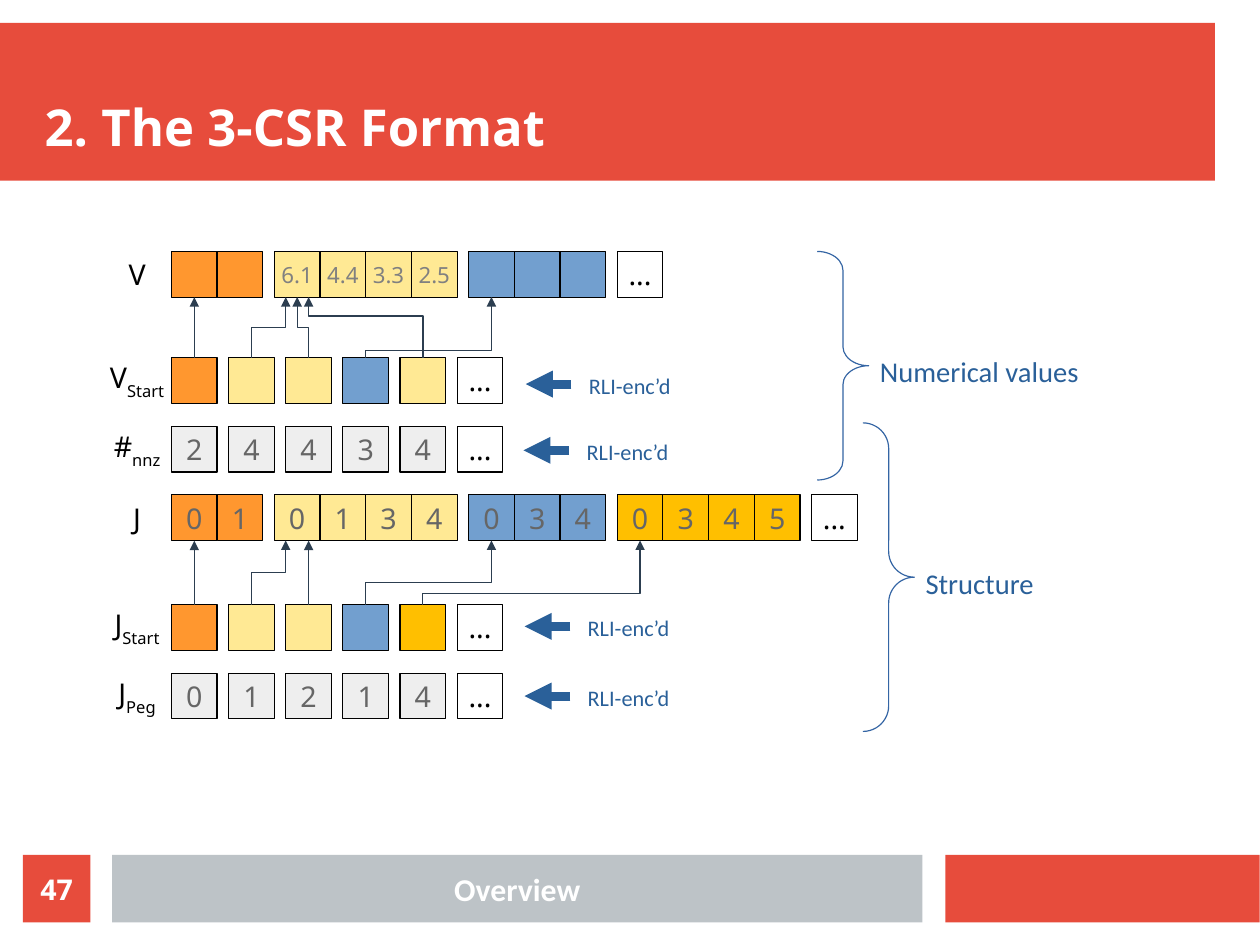
from lxml.etree import SubElement
from pptx import Presentation
from pptx.dml.color import RGBColor
from pptx.enum.shapes import MSO_CONNECTOR, MSO_SHAPE
from pptx.enum.text import MSO_ANCHOR, MSO_AUTO_SIZE, PP_ALIGN
from pptx.oxml.ns import qn
from pptx.util import Cm, Pt

PX = 9144
CELL, GAP, LEFT = 40, 10, 150

RED = RGBColor(0xE7, 0x4C, 0x3C)
SILVER = RGBColor(0xBD, 0xC3, 0xC7)
WHITE = RGBColor(0xFF, 0xFF, 0xFF)
BLACK = RGBColor(0, 0, 0)
ORANGE = RGBColor(0xFF, 0x97, 0x2F)
CREAM = RGBColor(0xFF, 0xE9, 0x94)
BLUE = RGBColor(0x72, 0x9F, 0xCF)
GOLD = RGBColor(0xFF, 0xBF, 0x00)
PALE = RGBColor(0xEE, 0xEE, 0xEE)
GRAY = RGBColor(0x80, 0x80, 0x80)
DARK = RGBColor(0x66, 0x66, 0x66)
SLATE = RGBColor(0x2C, 0x3E, 0x50)
NAVY = RGBColor(0x2A, 0x60, 0x99)
BRACE = RGBColor(0x34, 0x65, 0xA4)

TITLE = "2. The 3-CSR Format"
BARS = [(0, 20, 1063, 138, RED), (827, 748, 275, 59, RED),
        (98, 748, 709, 59, SILVER)]
ROWS = [
    ("V", "", 220, 14, GRAY,
     [(ORANGE, ["", ""]), (CREAM, ["6.1", "4.4", "3.3", "2.5"]),
      (BLUE, ["", "", ""])]),
    ("V", "Start", 313, 18, DARK,
     [(c, [""]) for c in (ORANGE, CREAM, CREAM, BLUE, CREAM)]),
    ("#", "nnz", 373, 18, DARK, [(PALE, [n]) for n in "24434"]),
    ("J", "", 433, 18, DARK,
     [(ORANGE, "01"), (CREAM, "0134"), (BLUE, "034"), (GOLD, "0345")]),
    ("J", "Start", 529, 18, DARK,
     [(c, [""]) for c in (ORANGE, CREAM, CREAM, BLUE, GOLD)]),
    ("J", "Peg", 589, 18, DARK, [(PALE, [n]) for n in "01214"]),
]
LINKS = [
    (313, 260, [(170, 170, 0), (220, 250, 0.5), (270, 260, 0.5),
                (320, 430, 0.12), (370, 270, 0.69)]),
    (529, 473, [(170, 170, 0), (220, 250, 0.5), (270, 270, 0),
                (320, 430, 0.34), (370, 560, 0.17)]),
]
NOTES = [(491, 317), (489, 375), (490, 529), (490, 590)]
BRACES = [("Numerical values", 715, 220, 200, 0.37, 305),
          ("Structure", 755, 370, 270, 0.5, 490)]

deck = Presentation()
deck.slide_width, deck.slide_height = Cm(28), Cm(21)
slide = deck.slides.add_slide(deck.slide_layouts[5])
shapes = slide.shapes


def emu(*nums):
    return [round(n * PX) for n in nums]


def write(shape, runs, size, ink, face="Noto Sans", bold=False,
          align=PP_ALIGN.CENTER, wrap=True, pad=(10, 5),
          anchor=MSO_ANCHOR.MIDDLE):
    frame = shape.text_frame
    frame.auto_size = MSO_AUTO_SIZE.NONE
    frame.word_wrap = wrap
    frame.vertical_anchor = anchor
    frame.margin_left = frame.margin_right = pad[0] * PX
    frame.margin_top = frame.margin_bottom = pad[1] * PX
    para = frame.paragraphs[0]
    para.alignment = align
    for text, base in runs:
        run = para.add_run()
        run.text = text
        font = run.font
        font.size, font.name, font.bold = Pt(size), face, bold
        font.color.rgb = ink
        if base:
            font._element.set("baseline", str(base))


def box(x, y, w, h, fill, edge=None, kind=MSO_SHAPE.RECTANGLE):
    shape = shapes.add_shape(kind, *emu(x, y, w, h))
    shape.shadow.inherit = False
    if fill is None:
        shape.fill.background()
    else:
        shape.fill.solid()
        shape.fill.fore_color.rgb = fill
    if edge is None:
        shape.line.fill.background()
    else:
        shape.line.color.rgb = edge
        shape.line.width = Pt(0)
    return shape


def label(x, y, w, h, runs, size, ink, **style):
    write(shapes.add_textbox(*emu(x, y, w, h)), runs, size, ink, **style)


def arrow(kind, ends, ink, width):
    line = shapes.add_connector(kind, *emu(*ends))
    line.line.color.rgb = ink
    line.line.width = Pt(width)
    SubElement(line.line._get_or_add_ln(), qn("a:tailEnd"), type="triangle")
    props = line._element.spPr
    SubElement(props, qn("a:effectLst"))
    return props


def link(x1, y1, x2, y2, bend):
    if x1 == x2:
        arrow(MSO_CONNECTOR.STRAIGHT, (x1, y1, x2, y2), SLATE, 0.79)
        return
    mid, half = (x1 + x2) / 2, (y1 - y2) / 2
    low, high = (y1 + y2 + abs(x2 - x1)) / 2, (y1 + y2 - abs(x2 - x1)) / 2
    side = half if x2 > x1 else -half
    props = arrow(MSO_CONNECTOR.ELBOW, (mid + side, low, mid - side, high),
                  SLATE, 0.79)
    turn = 90 if x2 > x1 else 270
    props.find(qn("a:xfrm")).set("rot", str(turn * 60000))
    geom = props.find(qn("a:prstGeom"))
    vals = geom.find(qn("a:avLst"))
    if vals is None:
        vals = SubElement(geom, qn("a:avLst"))
    SubElement(vals, qn("a:gd"), name="adj1",
               fmla=f"val {round(bend * 100000)}")


for bar in BARS:
    box(*bar)

title = shapes.title
title.left, title.top, title.width, title.height = emu(39, 39, 1024, 98)
write(title, [(TITLE, 0)], 32, WHITE, bold=True, align=PP_ALIGN.LEFT,
      pad=(0, 0), anchor=MSO_ANCHOR.BOTTOM)
shapes._spTree.append(title._element)

for name, sub, y, size, ink, groups in ROWS:
    runs = [(name, 0)] + ([(sub, -33000)] if sub else [])
    label(100, y, CELL, CELL, runs, 18, BLACK, wrap=False)
    x = LEFT
    for fill, texts in groups:
        for text in texts:
            cell = box(x, y, CELL, CELL, fill, BLACK)
            if text:
                write(cell, [(text, 0)], size, ink, wrap=False)
            x += CELL
        x += GAP
    more = box(x, y, CELL, CELL, None, BLACK)
    write(more, [("...", 0)], 18, BLACK, wrap=False)

for low, high, pairs in LINKS:
    for start, end, bend in pairs:
        link(start, low, end, high, bend)

for x, y in NOTES:
    arrow(MSO_CONNECTOR.STRAIGHT, (x + 9, y + 19, x - 31, y + 19), NAVY, 5.67)
    label(x, y, 120, 40, [("RLI-enc’d", 0)], 14, NAVY, face="Calibri")

for text, x, y, tall, curve, top in BRACES:
    brace = box(x, y, 45, tall, None, BRACE, MSO_SHAPE.RIGHT_BRACE)
    brace.adjustments[0] = curve
    brace.adjustments[1] = 0.5
    label(x + 45, top, 230, 40, [(text, 0)], 18, NAVY, face="Calibri",
          align=PP_ALIGN.LEFT, anchor=MSO_ANCHOR.TOP)

label(100, 750, 705, 56, [("Overview", 0)], 20, WHITE, face="Calibri",
      bold=True)
page = box(20, 748, 59, 59, RED)
write(page, [("47", 0)], 18, WHITE, bold=True, pad=(0, 0))

deck.save("out.pptx")
